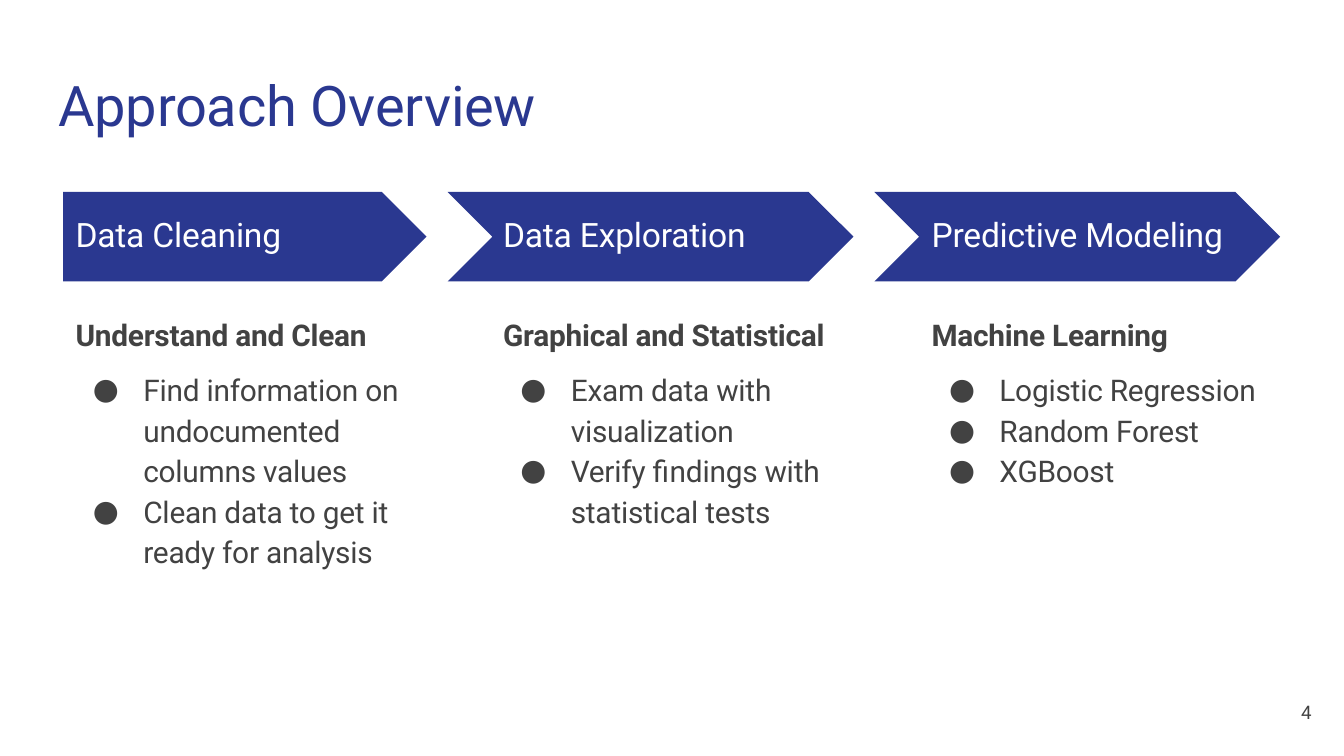
from collections import namedtuple
from dataclasses import dataclass

from lxml import etree
from pptx import Presentation
from pptx import util as u
from pptx.dml.color import RGBColor
from pptx.enum import shapes, text
from pptx.oxml.ns import qn


@dataclass(frozen=True)
class Theme:
    font: str = "Roboto"
    navy: str = "2A3890"
    grey: str = "424242"
    white: str = "FFFFFF"
    title: float = 30
    stage: float = 18
    body: float = 16
    number: float = 10


THEME = Theme()
Stage = namedtuple("Stage", "name name_w heading heading_w text_x list_w list_h items")

STAGES = [
    Stage("Data Cleaning", 113, "Understand and Clean", 160.5, 39.6, 168.5, 111,
          ["Find information on undocumented columns values",
           "Clean data to get it ready for analysis"]),
    Stage("Data Exploration", 133, "Graphical and Statistical", 177, 268.6, 165, 89,
          ["Exam data with visualization",
           "Verify findings with statistical tests"]),
    Stage("Predictive Modeling", 160, "Machine Learning", 130.5, 498.2, 169, 67,
          ["Logistic Regression", "Random Forest", "XGBoost"]),
]

ARROW_TOP, ARROW_H = 102.8, 48
ARROW_LEFT, ARROW_RIGHT = 33.8, 228.5
CHEVRON_W, ARROW_PITCH = 217.4, 228.6


def place(sp, x, y, w, h):
    sp.left, sp.top, sp.width, sp.height = u.Pt(x), u.Pt(y), u.Pt(w), u.Pt(h)


def set_frame(tf, wrap, left=0.9):
    tf.auto_size = text.MSO_AUTO_SIZE.NONE
    tf.word_wrap = wrap
    tf.vertical_anchor = text.MSO_ANCHOR.TOP
    tf.margin_left, tf.margin_top = u.Pt(left), u.Pt(0.9)
    tf.margin_right = tf.margin_bottom = u.Pt(0)


def add_run(p, words, size, color, bold=False, spacing=-10):
    p.alignment = text.PP_ALIGN.LEFT
    r = p.add_run()
    r.text = words
    r.font.name = THEME.font
    r.font.size = u.Pt(size)
    r.font.bold = bold
    r.font.color.rgb = RGBColor.from_string(color)
    r._r.get_or_add_rPr().set("spc", str(spacing))


def set_bullet(p):
    pPr = p._p.get_or_add_pPr()
    pPr.set("marL", str(u.Pt(28.8)))
    pPr.set("indent", str(u.Pt(-27)))
    etree.SubElement(pPr, qn("a:buFont"), typeface=THEME.font)
    etree.SubElement(pPr, qn("a:buChar"), char="●")


def write_line(sp, words, size, color, bold=False, spacing=-10):
    set_frame(sp.text_frame, False)
    p = sp.text_frame.paragraphs[0]
    p.line_spacing = 1.0
    p.space_before = u.Pt(1)
    add_run(p, words, size, color, bold, spacing)


def add_label(s, x, y, w, h, words, size, color, bold=False, spacing=-10):
    sp = s.shapes.add_textbox(u.Pt(x), u.Pt(y), u.Pt(w), u.Pt(h))
    write_line(sp, words, size, color, bold, spacing)


def fill_list(sp, items):
    tf = sp.text_frame
    set_frame(tf, True, 0)
    for i, item in enumerate(items):
        p = tf.add_paragraph() if i else tf.paragraphs[0]
        p.line_spacing = 1.13
        p.space_before = u.Pt(0 if i else 1)
        p.space_after = u.Pt(0)
        set_bullet(p)
        add_run(p, item, THEME.body, THEME.grey)


def add_arrow(s, i):
    if i:
        kind, x, w = shapes.MSO_SHAPE.CHEVRON, 11.2 + i * ARROW_PITCH, CHEVRON_W
    else:
        kind, x, w = shapes.MSO_SHAPE.PENTAGON, ARROW_LEFT, ARROW_RIGHT - ARROW_LEFT
    sp = s.shapes.add_shape(kind, u.Pt(x), u.Pt(ARROW_TOP), u.Pt(w), u.Pt(ARROW_H))
    sp.shadow.inherit = False
    sp.fill.solid()
    sp.fill.fore_color.rgb = RGBColor.from_string(THEME.navy)
    sp.line.fill.background()


def add_stage(s, i, stage, body):
    x = stage.text_x
    add_arrow(s, i)
    add_label(s, x, 113.8, stage.name_w, 24, stage.name, THEME.stage, THEME.white)
    add_label(s, x, 168.5, stage.heading_w, 21, stage.heading,
              THEME.body, THEME.grey, bold=True)
    place(body, x + 8.4, 195.8, stage.list_w, stage.list_h)
    fill_list(body, stage.items)


def main():
    prs = Presentation()
    prs.slide_width, prs.slide_height = u.Pt(720), u.Pt(405)
    s = prs.slides.add_slide(prs.slide_layouts.get_by_name("Comparison"))

    title, *bodies = s.placeholders
    place(title, 30.4, 36.7, 259, 38.5)
    write_line(title, "Approach Overview", THEME.title, THEME.navy)

    for i, (stage, body) in enumerate(zip(STAGES, bodies)):
        add_stage(s, i, stage, body)
    for spare in bodies[len(STAGES):]:
        spare._element.getparent().remove(spare._element)

    add_label(s, 696.2, 374.4, 8, 14, "4", THEME.number, THEME.grey, spacing=0)
    prs.save("out.pptx")


main()
